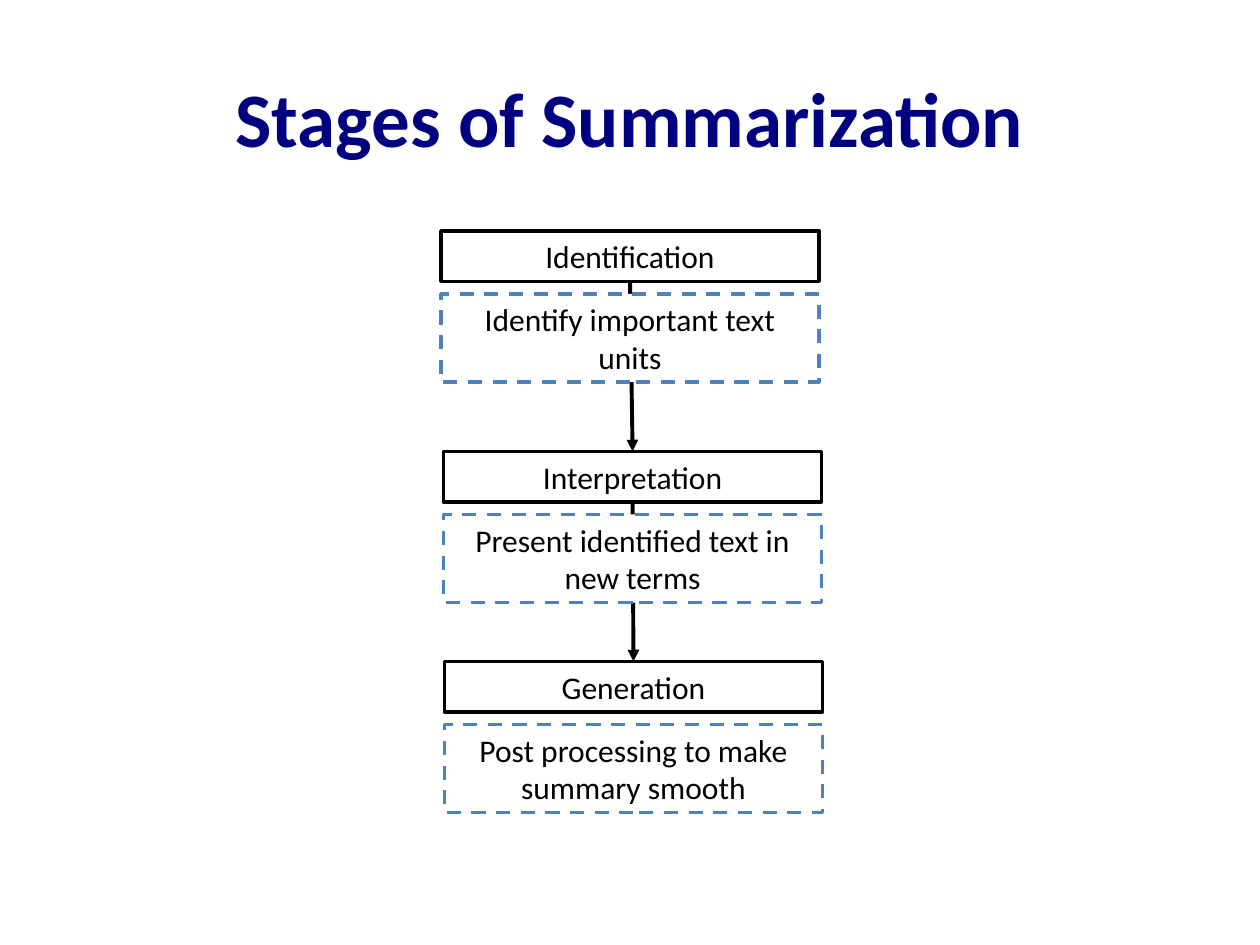
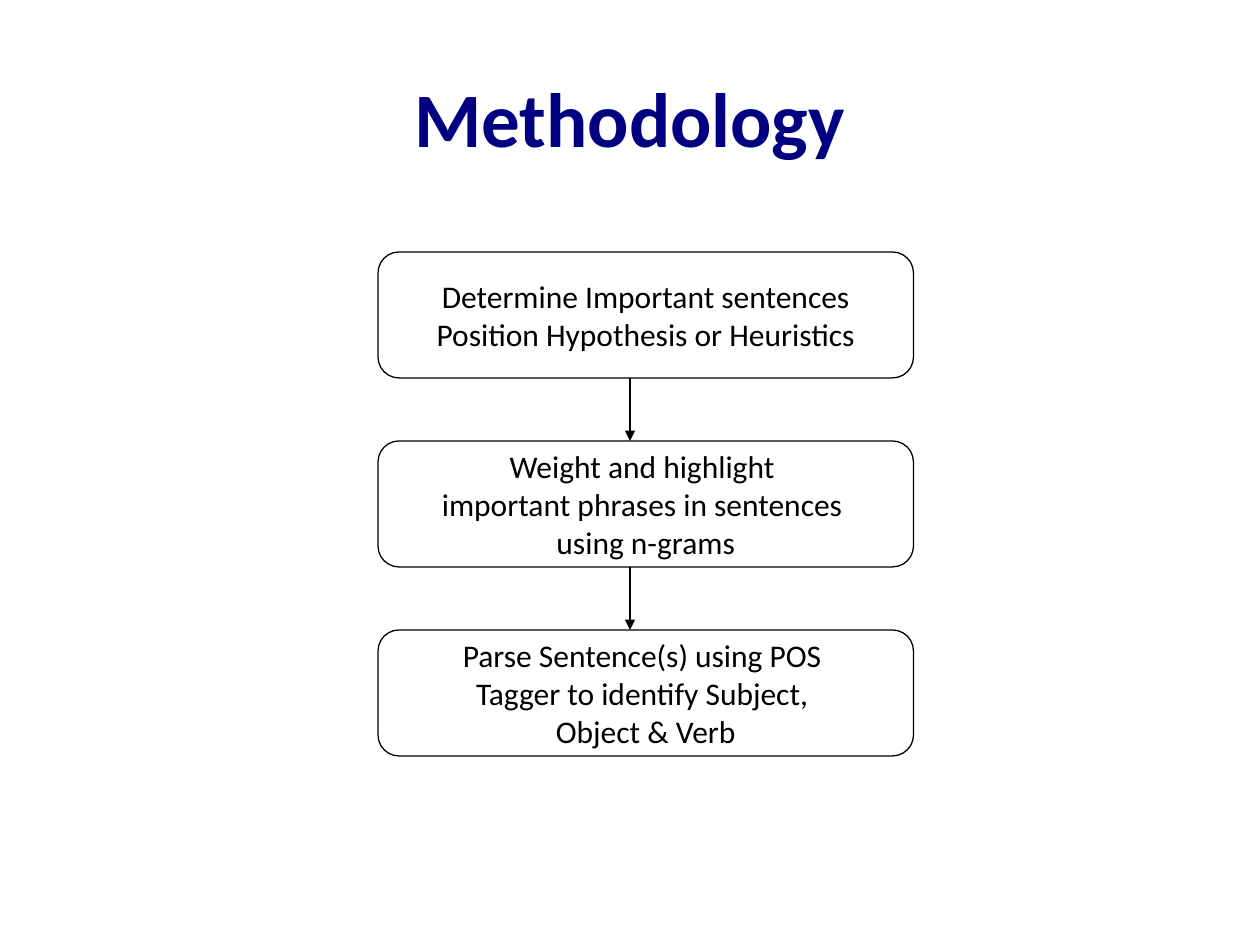
from dataclasses import dataclass

from lxml import etree
from pptx import Presentation
from pptx.dml.color import RGBColor
from pptx.enum import dml, shapes, text
from pptx.oxml import ns
from pptx.util import Pt


@dataclass(frozen=True)
class Theme:
    font: str = "Calibri"
    navy: str = "000080"
    blue: str = "4F81BD"
    black: str = "000000"
    white: str = "FFFFFF"
    title: int = 44
    body: int = 18
    thin: float = 0.75
    box: float = 2
    flow: float = 2.25


T = Theme()

STAGES = [  # left, top, heading, detail
    (252, 132, "Identification", "Identify important text units"),
    (253.5, 258, "Interpretation", "Present identified text in new terms"),
    (254, 378, "Generation", "Post processing to make summary smooth"),
]
STEPS = [
    ["Determine Important sentences", "Position Hypothesis or Heuristics"],
    ["Weight and highlight ", "important phrases in sentences ", "using n-grams"],
    ["Parse Sentence(s) using POS ", "Tagger to identify Subject, ", "Object & Verb"],
]


def write(shape, lines, size=T.body, color=T.black, bold=False,
          anchor=text.MSO_ANCHOR.MIDDLE, wrap=True,
          fit=text.MSO_AUTO_SIZE.NONE):
    """Fill a shape with centred text, one paragraph per line."""
    frame = shape.text_frame
    frame.text = "\n".join(lines)
    frame.word_wrap = wrap
    frame.auto_size = fit
    frame.vertical_anchor = anchor
    for para in frame.paragraphs:
        para.alignment = text.PP_ALIGN.CENTER
        font = para.runs[0].font
        font.name, font.size, font.bold = T.font, Pt(size), bold
        font.color.rgb = RGBColor.from_string(color)


def stroke(item, color, width, dash=None):
    item.line.color.rgb = RGBColor.from_string(color)
    item.line.width = Pt(width)
    if dash:
        item.line.dash_style = dash


def add_box(slide, kind, left, top, width, height, fill=None,
            line=T.black, weight=T.box, dash=None):
    box = slide.shapes.add_shape(kind, Pt(left), Pt(top), Pt(width), Pt(height))
    box.shadow.inherit = False
    if fill:
        box.fill.solid()
        box.fill.fore_color.rgb = RGBColor.from_string(fill)
    else:
        box.fill.background()
    stroke(box, line, weight, dash)
    return box


def add_arrow(slide, start, end, weight):
    """Draw an arrow between two (x, y) points given in points."""
    arrow = slide.shapes.add_connector(
        shapes.MSO_CONNECTOR.STRAIGHT, *(Pt(n) for n in (*start, *end)))
    stroke(arrow, T.black, weight)
    etree.SubElement(arrow.line._get_or_add_ln(), ns.qn("a:tailEnd"),
                     type="triangle")
    etree.SubElement(arrow._element.spPr, ns.qn("a:effectLst"))
    return arrow


def add_slide(deck, title):
    slide = deck.slides.add_slide(deck.slide_layouts[5])
    head = slide.shapes.title
    head.left, head.top, head.width, head.height = map(Pt, (36, 21.6, 648, 90))
    write(head, [title], size=T.title, color=T.navy, bold=True)
    return slide


def add_stages(slide):
    wide, high, drop, deep = 216, 28.8, 36, 50.4
    rect = shapes.MSO_SHAPE.RECTANGLE
    style = dict(anchor=text.MSO_ANCHOR.TOP,
                 fit=text.MSO_AUTO_SIZE.SHAPE_TO_FIT_TEXT)
    # Headings
    heads = []
    for left, top, name, _ in STAGES:
        head = add_box(slide, rect, left, top, wide, high, fill=T.white)
        write(head, [name], **style)
        heads.append(head)
    # Arrows run from heading to heading, behind the details
    for upper, lower in zip(heads, heads[1:]):
        arrow = add_arrow(slide, (0, 0), (0, 0), T.flow)
        arrow.begin_connect(upper, 2)
        arrow.end_connect(lower, 0)
    # Dashed details
    for left, top, _, detail in STAGES:
        box = add_box(slide, rect, left, top + drop, wide, deep, fill=T.white,
                      line=T.blue, dash=dml.MSO_LINE.DASH)
        write(box, [detail], **style)


def add_steps(slide):
    left, first, wide, high, pitch, axis = 216, 144, 306, 72, 108, 360
    for i, lines in enumerate(STEPS):
        top = first + i * pitch
        box = add_box(slide, shapes.MSO_SHAPE.ROUNDED_RECTANGLE,
                      left, top, wide, high, weight=T.thin)
        write(box, lines, wrap=False)
        if i:
            add_arrow(slide, (axis, top - pitch + high), (axis, top), T.thin)


def main():
    deck = Presentation()
    deck.slide_width, deck.slide_height = Pt(720), Pt(540)
    add_stages(add_slide(deck, "Stages of Summarization"))
    add_steps(add_slide(deck, "Methodology"))
    deck.save("out.pptx")


if __name__ == "__main__":
    main()
